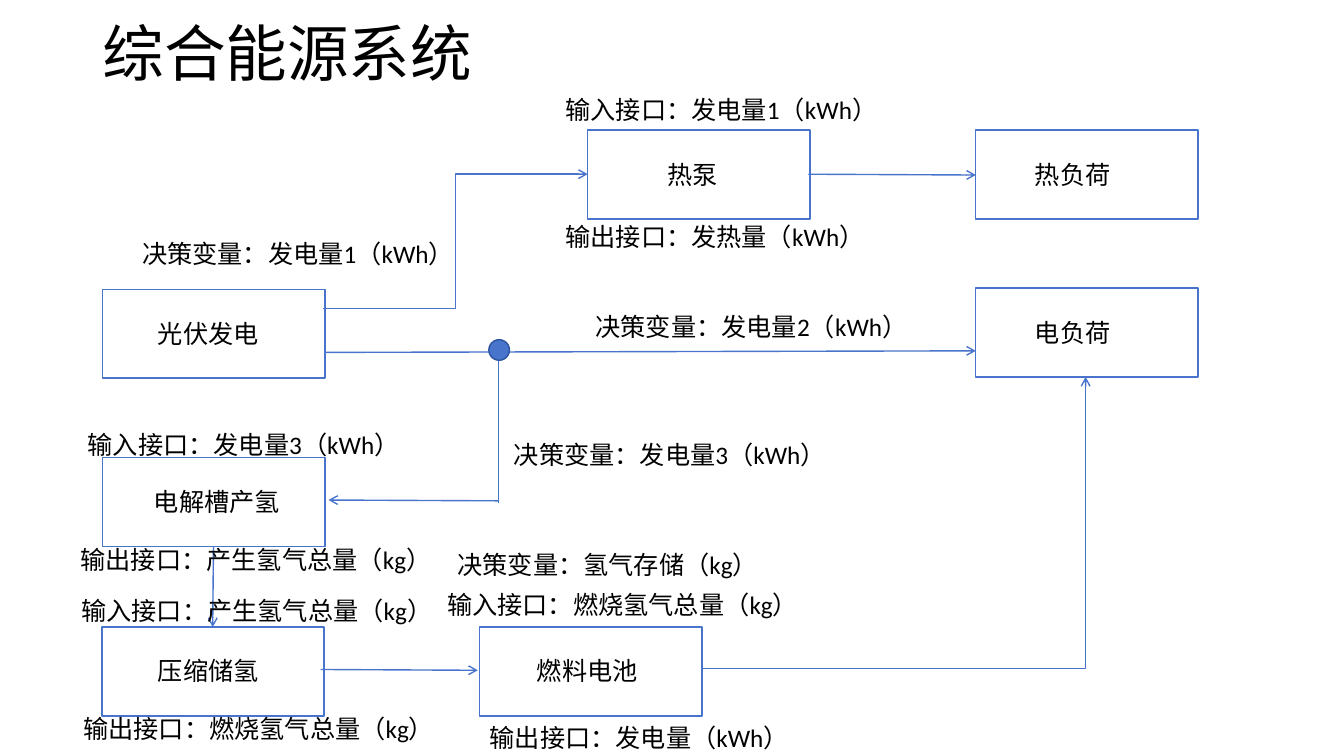
from lxml.etree import SubElement
from pptx import Presentation
from pptx.dml.color import RGBColor
from pptx.enum.shapes import MSO_CONNECTOR, MSO_SHAPE
from pptx.enum.text import MSO_ANCHOR, MSO_AUTO_SIZE, PP_ALIGN
from pptx.oxml.ns import qn
from pptx.util import Cm, Pt

BLUE = "4874CB"
BOX_WIDTH, BOX_HEIGHT = 5.6, 2.24
NAME_WIDTH, LABEL_WIDTH, TEXT_HEIGHT = 4, 11.28, 1.02


def paint(color_format, color):
    color_format.rgb = RGBColor.from_string(color)


def write(text_frame, text, size):
    text_frame.text = text
    paragraph = text_frame.paragraphs[0]
    paragraph.alignment = PP_ALIGN.LEFT
    font = paragraph.runs[0].font
    font.name = "Calibri"
    font.size = Pt(size)
    paint(font.color, "000000")


presentation = Presentation()
presentation.slide_width = Cm(33.87)
presentation.slide_height = Cm(19.05)
slide = presentation.slides.add_slide(presentation.slide_layouts[5])

title = slide.shapes.title
title.left, title.top, title.width, title.height = Cm(2.33), Cm(-0.41), Cm(29.21), Cm(3.68)
write(title.text_frame, "综合能源系统", 44)
title.text_frame.vertical_anchor = MSO_ANCHOR.MIDDLE
title.text_frame.paragraphs[0].line_spacing = 0.9

units = [
    ("热泵", 14.81, 3.28, 1.75),
    ("热负荷", 24.59, 3.28, 1.24),
    ("光伏发电", 2.59, 7.29, 1.14),
    ("电负荷", 24.59, 7.26, 1.24),
    ("电解槽产氢", 2.59, 11.53, 1.04),
    ("压缩储氢", 2.57, 15.8, 1.16),
    ("燃料电池", 12.09, 15.8, 1.19),
]
texts = [
    ("输入接口：发电量1（kWh）", 14, 2.24, LABEL_WIDTH),
    ("输出接口：发热量（kWh）", 14, 5.44, LABEL_WIDTH),
    ("决策变量：发电量1（kWh）", 3.33, 5.87, LABEL_WIDTH),
    ("决策变量：发电量2（kWh）", 14.76, 7.72, LABEL_WIDTH),
    ("决策变量：发电量3（kWh）", 12.7, 10.95, LABEL_WIDTH),
    ("输入接口：发电量3（kWh）", 1.96, 10.69, LABEL_WIDTH),
    ("输出接口：产生氢气总量（kg）", 1.78, 13.59, LABEL_WIDTH),
    ("输入接口：产生氢气总量（kg）", 1.8, 14.88, LABEL_WIDTH),
    ("输出接口：燃烧氢气总量（kg）", 1.85, 17.86, LABEL_WIDTH),
    ("决策变量：氢气存储（kg）", 11.28, 13.72, LABEL_WIDTH),
    ("输入接口：燃烧氢气总量（kg）", 11.02, 14.73, LABEL_WIDTH),
    ("输出接口：发电量（kWh）", 12.09, 18.08, LABEL_WIDTH),
]

for name, left, top, indent in units:
    box = slide.shapes.add_shape(
        MSO_SHAPE.RECTANGLE, Cm(left), Cm(top), Cm(BOX_WIDTH), Cm(BOX_HEIGHT))
    box.shadow.inherit = False
    box.fill.background()
    paint(box.line.color, BLUE)
    box.line.width = Pt(1)
    texts.append((name, left + indent, top + 0.6, NAME_WIDTH))

straight, elbow = MSO_CONNECTOR.STRAIGHT, MSO_CONNECTOR.ELBOW
flows = [
    (straight, "line", 8.18, 8.88, 24.59, 8.84, True),
    (straight, "line", 8.08, 16.87, 12.04, 16.89, True),
    (straight, "line", 5.38, 13.77, 5.36, 15.8, True),
    (straight, "line", 12.57, 9.04, 12.57, 12.67, False),
    (straight, "line", 12.57, 12.62, 8.28, 12.6, True),
    (straight, "line", 20.37, 4.39, 24.59, 4.41, True),
    (elbow, "bentConnector3", 8.15, 7.77, 14.81, 4.39, True),
    (elbow, "bentConnector2", 17.68, 16.84, 27.36, 9.5, True),
]
for kind, geometry, start_x, start_y, end_x, end_y, has_arrow in flows:
    connector = slide.shapes.add_connector(
        kind, Cm(start_x), Cm(start_y), Cm(end_x), Cm(end_y))
    paint(connector.line.color, BLUE)
    connector.line.width = Pt(1)
    properties = connector._element.spPr
    properties.find(qn("a:prstGeom")).set("prst", geometry)
    if has_arrow:
        SubElement(properties.find(qn("a:ln")), qn("a:tailEnd")).set("type", "arrow")
    SubElement(properties, qn("a:effectLst"))

junction = slide.shapes.add_shape(MSO_SHAPE.OVAL, Cm(12.32), Cm(8.56), Cm(0.52), Cm(0.52))
junction.shadow.inherit = False
junction.fill.solid()
paint(junction.fill.fore_color, BLUE)
paint(junction.line.color, "2E54A1")
junction.line.width = Pt(1)

for text, left, top, width in texts:
    label = slide.shapes.add_textbox(Cm(left), Cm(top), Cm(width), Cm(TEXT_HEIGHT))
    label.text_frame.word_wrap = True
    label.text_frame.auto_size = MSO_AUTO_SIZE.SHAPE_TO_FIT_TEXT
    write(label.text_frame, text, 18)

presentation.save("out.pptx")
